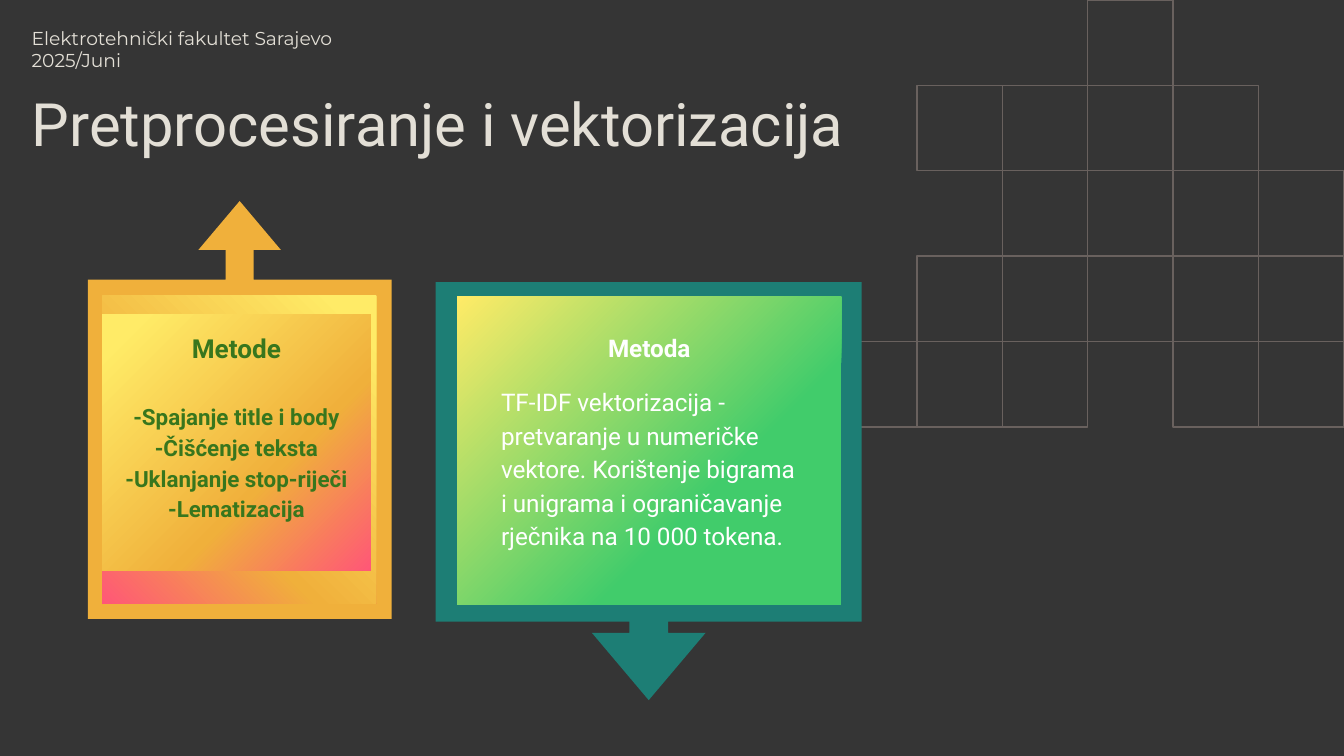
"""Build the slide on text preprocessing and vectorization."""
from typing import NamedTuple, Optional

from lxml import etree
from pptx import Presentation
from pptx.dml.color import RGBColor
from pptx.enum.shapes import MSO_SHAPE
from pptx.enum.text import MSO_ANCHOR, PP_ALIGN
from pptx.oxml.ns import qn
from pptx.util import Cm, Pt

RECTANGLE = MSO_SHAPE.RECTANGLE
SNIPPED = MSO_SHAPE.SNIP_1_RECTANGLE
CALLOUT = MSO_SHAPE.RIGHT_ARROW_CALLOUT
LEFT, CENTER = PP_ALIGN.LEFT, PP_ALIGN.CENTER
TOP, MIDDLE = MSO_ANCHOR.TOP, MSO_ANCHOR.MIDDLE

COLORS = {
    "background": "353535",
    "grid": "69615E",
    "heading": "E3DFD6",
    "orange": "F0B03B",
    "teal": "1D7E75",
    "pink": "FF5777",
    "yellow": "FFEB67",
    "green": "41CC6B",
    "dark green": "38761D",
    "white": "FFFFFF",
}
CALLOUT_ADJUSTMENTS = (0.093, 0.136, 0.161, 0.812)
SLIDE_WIDTH, SLIDE_HEIGHT = 25.4, 14.29
GRID_ROWS = ("...#..", ".####.", "..##.#", ".#####", "###.##")
GRID_HEIGHT = 8.07


class Box(NamedTuple):
    """Position and size in centimetres."""
    left: float
    top: float
    width: float
    height: float

    def lengths(self) -> list:
        """Return the four values as lengths."""
        return [Cm(value) for value in self]


class Gradient(NamedTuple):
    """Linear gradient with (percent, colour name) stops."""
    stops: tuple
    angle: int


class Line(NamedTuple):
    """One paragraph and its look."""
    text: str
    size: float
    color: str
    font: str = "Roboto"
    bold: bool = False
    align: PP_ALIGN = LEFT
    spacing: Optional[float] = None
    before: float = 0
    after: float = 0


class Panel(NamedTuple):
    """Arrow callout with a gradient panel on it."""
    callout: Box
    callout_color: str
    callout_rotation: int
    inner: Box
    inner_rotation: int
    gradient: Gradient


WARM = Gradient(((0, "pink"), (37, "orange"), (92, "yellow"), (100, "yellow")), 225)
FRESH = Gradient(((0, "green"), (35, "green"), (100, "yellow")), 135)

METHODS_PANEL = Panel(Box(0.58, 4.88, 7.9, 5.74), "orange", 270,
                      Box(1.93, 5.59, 5.18, 5.82), 0, WARM)
VECTOR_PANEL = Panel(Box(8.31, 5.26, 7.9, 8.05), "teal", 90,
                     Box(8.64, 5.61, 7.26, 5.82), 180, FRESH)

STEPS = ("-Spajanje title i body", "-Čišćenje teksta",
         "-Uklanjanje stop-riječi", "-Lematizacija")
METHODS = [Line("Metode", 14, "dark green", bold=True, align=CENTER, spacing=1.15)] + [
    Line(step, 12, "dark green", bold=True, align=CENTER, spacing=1.15,
         before=0 if index else 19)
    for index, step in enumerate(STEPS)
]
VECTORIZATION = [
    Line("Metoda", 13, "white", bold=True, align=CENTER, spacing=1.15),
    Line("TF-IDF vektorizacija - pretvaranje u numeričke vektore. Korištenje bigrama "
         "i unigrama i ograničavanje rječnika na 10 000 tokena.",
         13, "white", spacing=1.15, before=11, after=16),
]
AFFILIATION = [Line(text, 10, "heading", "Montserrat")
               for text in ("Elektrotehnički fakultet Sarajevo", "2025/Juni")]
TITLE = [Line("Pretprocesiranje i vektorizacija", 32, "heading", spacing=0.7)]


def rgb(name: str) -> RGBColor:
    """Look up a colour by name."""
    return RGBColor.from_string(COLORS[name])


def add_plain_shape(slide, kind: MSO_SHAPE, box: Box, rotation: int = 0):
    """Add a shape without shadow, fill or line."""
    shape = slide.shapes.add_shape(kind, *box.lengths())
    shape.shadow.inherit = False
    shape.fill.background()
    shape.line.fill.background()
    shape.rotation = rotation
    return shape


def fill_gradient(shape, gradient: Gradient) -> None:
    """Replace the fill of a shape with a linear gradient."""
    properties = shape.element.spPr
    fill = etree.Element(qn("a:gradFill"), rotWithShape="1")
    stop_list = etree.SubElement(fill, qn("a:gsLst"))
    for percent, name in gradient.stops:
        stop = etree.SubElement(stop_list, qn("a:gs"), pos=str(percent * 1000))
        etree.SubElement(stop, qn("a:srgbClr"), val=COLORS[name])
    etree.SubElement(fill, qn("a:lin"), ang=str(gradient.angle * 60000), scaled="0")
    properties.replace(properties.find(qn("a:noFill")), fill)


def write_lines(shape, lines: list, left_inset: float = 0.25,
                anchor: MSO_ANCHOR = TOP) -> None:
    """Write paragraphs into a shape."""
    frame = shape.text_frame
    frame.word_wrap = True
    frame.vertical_anchor = anchor
    frame.margin_left = Cm(left_inset)
    frame.margin_top = frame.margin_right = frame.margin_bottom = Cm(0.25)
    for index, line in enumerate(lines):
        paragraph = frame.add_paragraph() if index else frame.paragraphs[0]
        paragraph.alignment = line.align
        if line.spacing:
            paragraph.line_spacing = line.spacing
        if line.before:
            paragraph.space_before = Pt(line.before)
        if line.after:
            paragraph.space_after = Pt(line.after)
        run = paragraph.add_run()
        run.text = line.text
        run.font.name = line.font
        run.font.size = Pt(line.size)
        run.font.bold = line.bold
        run.font.color.rgb = rgb(line.color)


def add_text(slide, box: Box, lines: list, left_inset: float = 0.25,
             anchor: MSO_ANCHOR = TOP) -> None:
    """Add a text box with its paragraphs."""
    write_lines(slide.shapes.add_textbox(*box.lengths()), lines, left_inset, anchor)


def add_grid(slide) -> None:
    """Draw the outlined squares in the top right corner."""
    side = GRID_HEIGHT / len(GRID_ROWS)
    for row, cells in enumerate(GRID_ROWS):
        for column, cell in enumerate(cells):
            if cell == "#":
                left = SLIDE_WIDTH - (len(cells) - column) * side
                square = add_plain_shape(slide, RECTANGLE, Box(left, row * side, side, side))
                square.line.color.rgb = rgb("grid")
                square.line.width = Pt(0.75)


def add_panel(slide, panel: Panel) -> None:
    """Draw an arrow callout and its gradient panel."""
    callout = add_plain_shape(slide, CALLOUT, panel.callout, panel.callout_rotation)
    for index, value in enumerate(CALLOUT_ADJUSTMENTS):
        callout.adjustments[index] = value
    callout.fill.solid()
    callout.fill.fore_color.rgb = rgb(panel.callout_color)
    inner = add_plain_shape(slide, SNIPPED, panel.inner, panel.inner_rotation)
    inner.adjustments[0] = 0
    inner.element.spPr.find(qn("a:xfrm")).set("flipH", "1")
    fill_gradient(inner, panel.gradient)


def main() -> None:
    """Build and save the slide."""
    presentation = Presentation()
    presentation.slide_width, presentation.slide_height = Cm(SLIDE_WIDTH), Cm(SLIDE_HEIGHT)
    slide = presentation.slides.add_slide(presentation.slide_layouts[6])
    slide.background.fill.solid()
    slide.background.fill.fore_color.rgb = rgb("background")
    add_grid(slide)
    add_text(slide, Box(0.1, 0.25, 6.91, 0.53), AFFILIATION, 0.5)
    add_text(slide, Box(0.1, 1.68, 17.48, 1.6), TITLE, 0.5, MIDDLE)
    add_panel(slide, METHODS_PANEL)
    card = add_plain_shape(slide, RECTANGLE, Box(1.93, 5.94, 5.08, 4.85))
    fill_gradient(card, WARM)
    write_lines(card, METHODS)
    add_panel(slide, VECTOR_PANEL)
    add_text(slide, Box(9.22, 5.97, 6.1, 4.85), VECTORIZATION)
    presentation.save("out.pptx")


if __name__ == "__main__":
    main()
